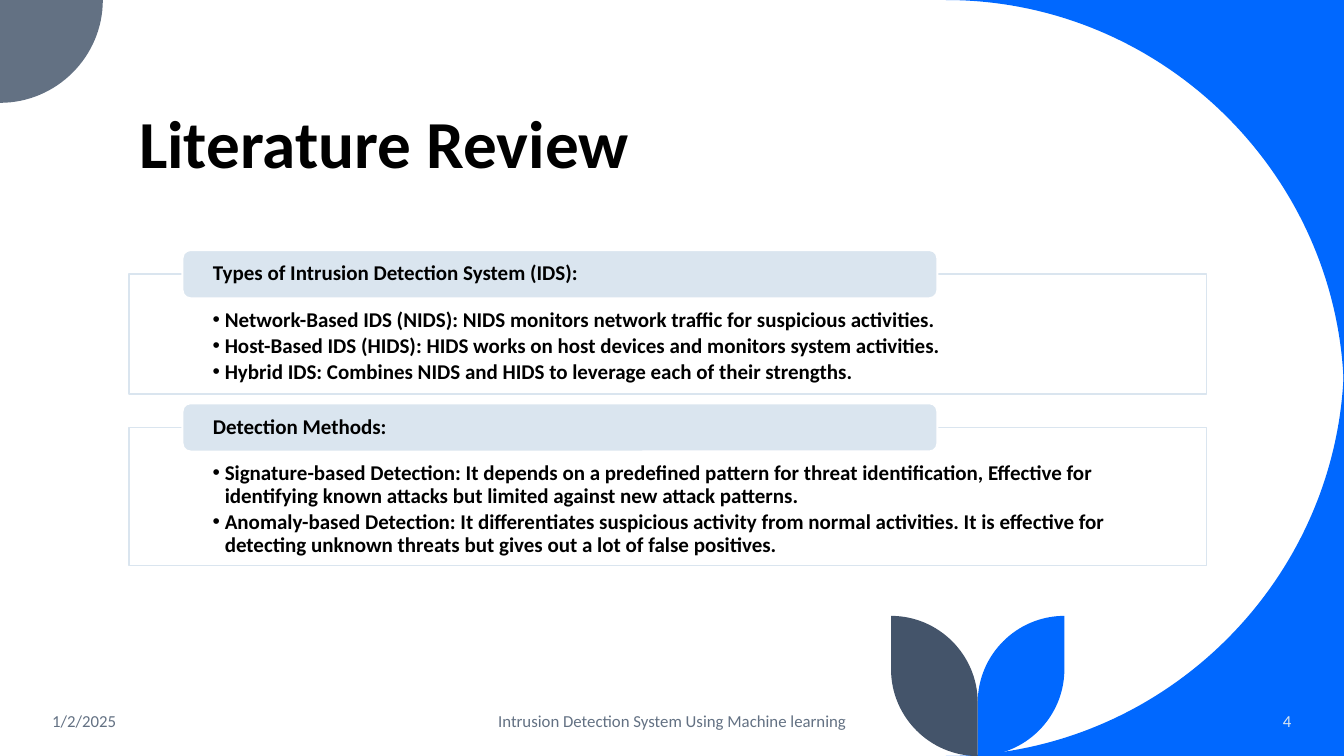
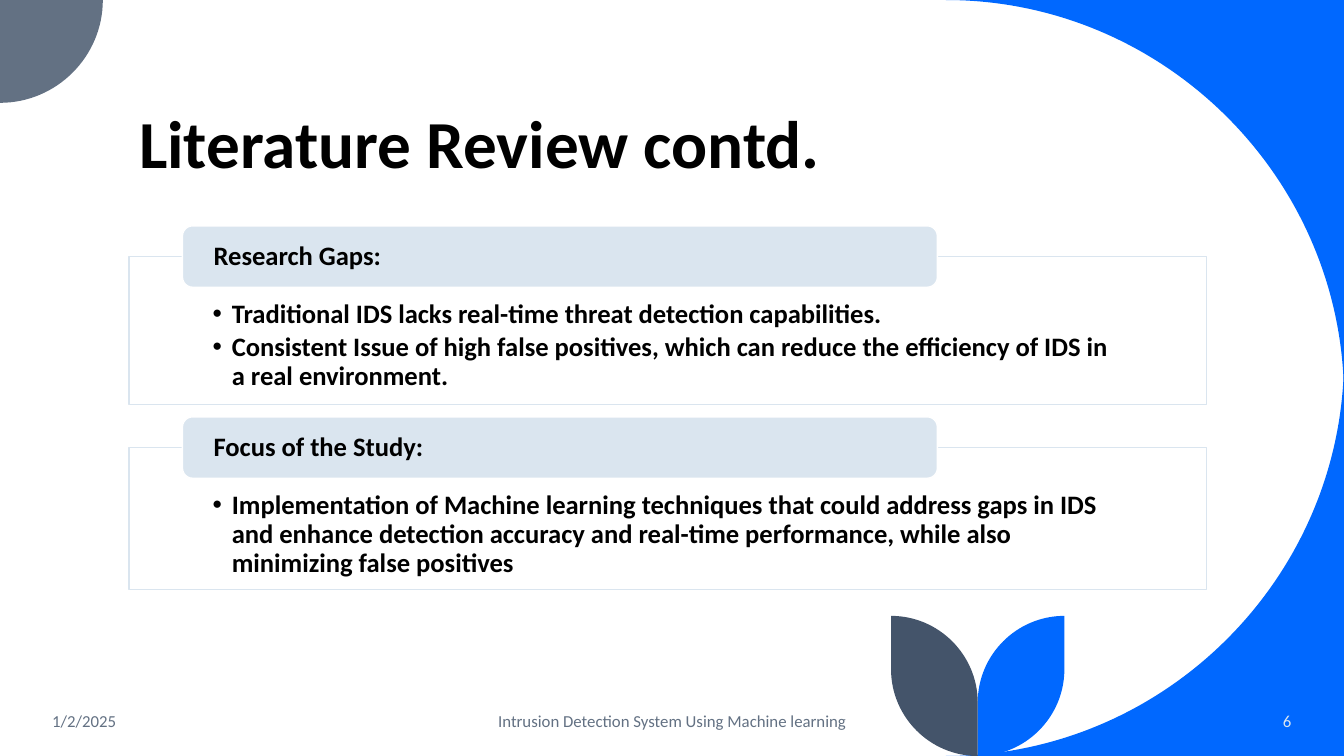
from lxml.etree import SubElement
from pptx import Presentation
from pptx.dml.color import RGBColor
from pptx.enum.shapes import MSO_SHAPE as SHAPE
from pptx.enum.text import MSO_ANCHOR as ANCHOR, MSO_AUTO_SIZE as AUTO, PP_ALIGN as ALIGN
from pptx.oxml.ns import qn
from pptx.util import Inches, Pt

W, H = 40 / 3, 7.5
FONT = "Calibri"
BLUE, SLATE, NAVY = "0068FF", "637183", "44546A"
PALE, WHITE, BLACK = "DAE5EF", "FFFFFF", "000000"

TITLE_BOX = (1.28, 0.42, 10.69, 1.45)
CARD_LEFT, CARD_WIDTH = 1.28, 10.69
TAB_INDENT, TAB_WIDTH = 0.53, 7.49
DATE = "1/2/2025"
FOOTER = "Intrusion Detection System Using Machine learning"

# Card metrics for the two text sizes
COMPACT = {"size": 15, "tab": 0.48, "gap": 0.09, "indent": 0.12,
           "inset_top": 0.35, "inset_bottom": 0.12, "tab_line": 1.5}
ROOMY = {"size": 19, "tab": 0.61, "gap": 0.12, "indent": 0.19,
         "inset_top": 0.44, "inset_bottom": 0.15, "tab_line": 1}

SLIDES = [
    {"title": "Literature Review", "number": "4", "top": 2.48, "style": COMPACT, "cards": [
        (1.19, "Types of Intrusion Detection System (IDS):", [
            "Network-Based IDS (NIDS): NIDS monitors network traffic for suspicious activities.",
            "Host-Based IDS (HIDS): HIDS works on host devices and monitors system activities.",
            "Hybrid IDS: Combines NIDS and HIDS to leverage each of their strengths."]),
        (1.37, "Detection Methods:", [
            "Signature-based Detection: It depends on a predefined pattern for threat "
            "identification, Effective for identifying known attacks but limited against "
            "new attack patterns.",
            "Anomaly-based Detection: It differentiates suspicious activity from normal "
            "activities. It is effective for detecting unknown threats but gives out a lot "
            "of false positives."])]},
    {"title": "Literature Review contd.", "number": "6", "top": 2.24, "style": ROOMY, "cards": [
        (1.47, "Research Gaps:", [
            "Traditional IDS lacks real-time threat detection capabilities.",
            "Consistent Issue of high false positives, which can reduce the efficiency of "
            "IDS in a real environment."]),
        (1.41, "Focus of the Study:", [
            "Implementation of Machine learning techniques that could address gaps in IDS "
            "and enhance detection accuracy and real-time performance, while also "
            "minimizing false positives"])]},
]


def rgb(value):
    return RGBColor.from_string(value)


def set_attrs(obj, values):
    for name, value in values.items():
        setattr(obj, name, value)


def paint(sp, fill, line=None, width=1):
    sp.shadow.inherit = False
    sp.fill.solid()
    sp.fill.fore_color.rgb = rgb(fill)
    if line:
        sp.line.color.rgb = rgb(line)
        sp.line.width = Pt(width)
    else:
        sp.line.fill.background()


def write(sp, lines, size, color=BLACK, bold=False, insets=(0.1, 0.05, 0.1, 0.05),
          anchor=ANCHOR.MIDDLE, **para):
    """Fill a shape with paragraphs of one format; insets run left, top, right, bottom."""
    tf = sp.text_frame
    left, top, right, bottom = map(Inches, insets)
    set_attrs(tf, {"word_wrap": True, "auto_size": AUTO.NONE, "vertical_anchor": anchor,
                   "margin_left": left, "margin_top": top,
                   "margin_right": right, "margin_bottom": bottom})
    for i, line in enumerate(lines):
        p = tf.add_paragraph() if i else tf.paragraphs[0]
        set_attrs(p, {"alignment": ALIGN.LEFT, **para})
        r = p.add_run()
        r.text = line
        set_attrs(r.font, {"name": FONT, "size": Pt(size), "bold": bold})
        r.font.color.rgb = rgb(color)


def add_bullets(sp, indent):
    for p in sp.text_frame.paragraphs:
        pPr = p._p.get_or_add_pPr()
        pPr.set("marL", str(Inches(indent)))
        pPr.set("indent", str(-Inches(indent)))
        SubElement(pPr, qn("a:buFont")).set("typeface", "Arial")
        SubElement(pPr, qn("a:buChar")).set("char", "•")


# Background art

def quarter(start, corner, end, k=0.55):
    """Control points and end of a quarter circle bulging towards the corner."""
    pull = [tuple(a + k * (c - a) for a, c in zip(point, corner)) for point in (start, end)]
    return [*pull, end]


def add_outline(slide, start, segments, fill):
    """Closed outline; a segment of one point is a line, of three points a curve."""
    builder = slide.shapes.build_freeform(*map(Inches, start))
    builder.add_line_segments([(Inches(x), Inches(y)) for seg in segments for x, y in seg])
    sp = builder.convert_to_shape()
    lines = iter(list(sp.element.iter(qn("a:lnTo"))))
    for seg in segments:
        first, *others = [next(lines) for _ in seg]
        if others:
            first.tag = qn("a:cubicBezTo")
            for line in others:
                first.append(line[0])
                line.getparent().remove(line)
    paint(sp, fill)
    return sp


def add_leaf(slide, side, fill, stem=9.7, size=0.86, top=6.11, shoulder=6.64, fork=6.97):
    """Leaf beside the stem; side is 1 for right and -1 for left."""
    edge = stem + side * size
    tip = (edge, top)
    segments = [[(edge, shoulder)],
                quarter((edge, shoulder), (edge, H), (stem, H)),
                [(stem, fork)],
                quarter((stem, fork), (stem, top), tip)]
    return add_outline(slide, tip, segments, fill)


def add_background(slide, layout):
    """Draw the shared art and put it on the layout, behind the placeholders."""
    sweep, dot = 3.95, 1.02
    cx = W - sweep
    art = [
        add_outline(slide, (W, 0), [
            [(cx, 0)], quarter((cx, 0), (W, 0), (W, sweep))], BLUE),
        add_outline(slide, (W, H - sweep), [
            quarter((W, H - sweep), (W, H), (cx, H)), [(W, H)]], BLUE),
        add_outline(slide, (0, 0), [
            [(dot, 0)], quarter((dot, 0), (dot, dot), (0, dot))], SLATE),
        add_leaf(slide, 1, BLUE),
        add_leaf(slide, -1, NAVY)]
    for i, sp in enumerate(art):
        sp.element.nvSpPr.cNvPr.set("id", str(20 + i))
        layout.shapes.element.insert(2 + i, sp.element)


# Slide regions

def add_title(slide, text):
    title = slide.shapes.title
    set_attrs(title, dict(zip(("left", "top", "width", "height"), map(Inches, TITLE_BOX))))
    write(title, [text], 48, bold=True, anchor=ANCHOR.BOTTOM, line_spacing=0.9)


def add_footer(slide, number, top=6.95, height=0.4):
    for left, width, text, align, color in (
            (0.42, 3, DATE, ALIGN.LEFT, SLATE),
            (4.42, 4.5, FOOTER, ALIGN.CENTER, SLATE),
            (11.1, 1.81, number, ALIGN.RIGHT, PALE)):
        sp = slide.shapes.add_textbox(*map(Inches, (left, top, width, height)))
        write(sp, [text], 12, color, alignment=align, space_after=Pt(6))


def add_card(slide, left, top, height, heading, bullets, style):
    """Outlined panel whose heading tab straddles its top edge; returns the bottom."""
    size, tab_height = style["size"], style["tab"]
    panel_top = top + tab_height / 2
    panel = slide.shapes.add_shape(
        SHAPE.RECTANGLE, *map(Inches, (left, panel_top, CARD_WIDTH, height)))
    paint(panel, WHITE, PALE)
    SubElement(panel.element.spPr.find(".//" + qn("a:srgbClr")), qn("a:alpha")).set("val", "90000")
    write(panel, bullets, size, bold=True, anchor=ANCHOR.TOP,
          insets=(0.83, style["inset_top"], 0.83, style["inset_bottom"]),
          line_spacing=0.9, space_after=Pt(size * 0.15))
    add_bullets(panel, style["indent"])

    tab = slide.shapes.add_shape(
        SHAPE.ROUNDED_RECTANGLE, *map(Inches, (left + TAB_INDENT, top, TAB_WIDTH, tab_height)))
    paint(tab, PALE, WHITE, style["tab_line"])
    write(tab, [heading], size, bold=True, insets=(0.28, 0, 0.28, 0), line_spacing=0.9)
    return panel_top + height


def fill_slide(slide, content):
    add_title(slide, content["title"])
    add_footer(slide, content["number"])
    top, style = content["top"], content["style"]
    for height, heading, bullets in content["cards"]:
        bottom = add_card(slide, CARD_LEFT, top, height, heading, bullets, style)
        top = bottom + style["gap"]


def main():
    prs = Presentation()
    prs.slide_width, prs.slide_height = Inches(W), Inches(H)
    layout = prs.slide_layouts[5]
    slides = [prs.slides.add_slide(layout) for _ in SLIDES]
    add_background(slides[0], layout)
    for slide, content in zip(slides, SLIDES):
        fill_slide(slide, content)
    prs.save("out.pptx")


if __name__ == "__main__":
    main()
